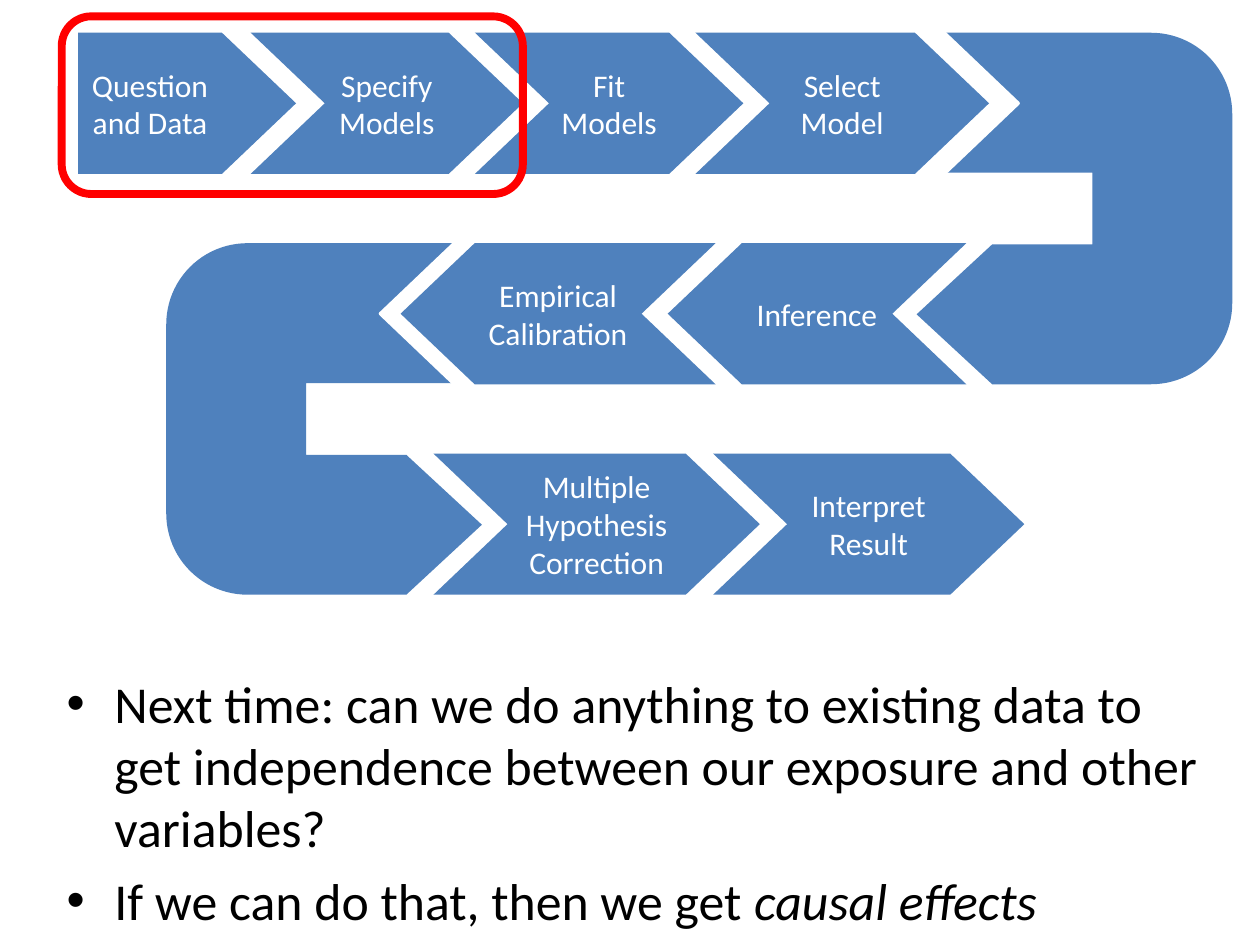
import dataclasses

import lxml.etree
import pptx
import pptx.dml.color
import pptx.enum.shapes
import pptx.enum.text
import pptx.oxml.ns
import pptx.util

SHAPE = pptx.enum.shapes.MSO_SHAPE
PAGE_WIDTH, PAGE_HEIGHT = 10, 7.5


@dataclasses.dataclass(frozen=True)
class Theme:
    """Colours and type sizes of the slide."""
    arrow: str = "4F81BD"
    paper: str = "FFFFFF"
    ink: str = "000000"
    highlight: str = "FF0000"
    font: str = "Calibri"
    step_size: float = 18
    body_size: float = 29.6


@dataclasses.dataclass(frozen=True)
class Box:
    """A rectangle in inches."""
    left: float
    top: float
    width: float
    height: float

    def column(self, left, width):
        """Return a full-height part, given as shares of the width."""
        return Box(self.left + left * self.width, self.top, width * self.width, self.height)

    def turned(self):
        """Return the box with its sides swapped about the same centre."""
        shift = (self.width - self.height) / 2
        return Box(self.left + shift, self.top - shift, self.height, self.width)

    def lengths(self):
        """Return the four lengths for python-pptx."""
        return [pptx.util.Inches(value) for value in dataclasses.astuple(self)]


THEME = Theme()


def colour(code):
    """Return a colour object for a hex code."""
    return pptx.dml.color.RGBColor.from_string(code)


def style_text(para, size, code):
    """Format every run of a paragraph."""
    for span in para.runs:
        span.font.name = THEME.font
        span.font.size = pptx.util.Pt(size)
        span.font.color.rgb = colour(code)


def add_shape(page, kind, box, adjustments=(), fill=None, line=None, line_width=2, mirrored=False):
    """Add a flat preset shape."""
    shape = page.shapes.add_shape(kind, *box.lengths())
    shape.shadow.inherit = False
    for index, value in enumerate(adjustments):
        shape.adjustments[index] = value
    if fill:
        shape.fill.solid()
        shape.fill.fore_color.rgb = colour(fill)
    else:
        shape.fill.background()
    if line:
        shape.line.color.rgb = colour(line)
        shape.line.width = pptx.util.Pt(line_width)
    else:
        shape.line.fill.background()
    if mirrored:
        shape._element.spPr.xfrm.set("flipH", "1")
    return shape


def add_turn(page, box, gap_left, gap_width, row_height, mirrored=False):
    """Add a U-turn with a white notch cut into its upper arm."""
    turn = add_shape(page, SHAPE.U_TURN_ARROW, box.turned(), (0.41, 0.199, 0.215, 0.231, 0.75),
                     THEME.arrow, mirrored=mirrored)
    turn.rotation = 270 if mirrored else 90
    gap = Box(gap_left, box.top, gap_width, row_height)
    add_shape(page, SHAPE.NOTCHED_RIGHT_ARROW, gap, (1, 0.525), THEME.paper, THEME.paper,
              mirrored=mirrored)


def add_step(page, box, label, kind=SHAPE.NOTCHED_RIGHT_ARROW, mirrored=False):
    """Add one labelled arrow of the process."""
    step = add_shape(page, kind, box, (1, 0.525), THEME.arrow, mirrored=mirrored)
    frame = step.text_frame
    frame.word_wrap = True
    frame.vertical_anchor = pptx.enum.text.MSO_ANCHOR.MIDDLE
    frame.text = label
    para = frame.paragraphs[0]
    para.alignment = pptx.enum.text.PP_ALIGN.CENTER
    style_text(para, THEME.step_size, THEME.paper)


def add_row(page, box, steps, mirrored=False):
    """Add arrows to a row, each placed by shares of its width."""
    for label, left, width in steps:
        add_step(page, box.column(left, width), label, mirrored=mirrored)


def add_bullets(page, box, items):
    """Add a bulleted list whose items are lists of (text, italic) spans."""
    frame = page.shapes.add_textbox(*box.lengths()).text_frame
    frame.word_wrap = True
    indent = pptx.util.Inches(0.38)
    for index, item in enumerate(items):
        para = frame.add_paragraph() if index else frame.paragraphs[0]
        properties = para._p.get_or_add_pPr()
        properties.set("marL", str(indent))
        properties.set("indent", str(-indent))
        bullet_font = lxml.etree.SubElement(properties, pptx.oxml.ns.qn("a:buFont"))
        bullet_font.set("typeface", "Arial")
        bullet = lxml.etree.SubElement(properties, pptx.oxml.ns.qn("a:buChar"))
        bullet.set("char", "•")
        if index:
            para.space_before = pptx.util.Pt(THEME.body_size * 0.2)
        for text, italic in item:
            span = para.add_run()
            span.text = text
            if italic:
                span.font.italic = True
        style_text(para, THEME.body_size, THEME.ink)


def add_process(page, box):
    """Add the winding three-row process, with its first steps highlighted."""
    row_height = 1.12
    pitch = 1.67
    first, second, third = (
        Box(box.left, box.top + pitch * index, box.width, row_height) for index in range(3))
    turn_width, turn_height = 3.34, pitch + row_height
    add_turn(page, Box(1.32, second.top, turn_width, turn_height), 3.02, 2.79, row_height, True)
    add_turn(page, Box(6.44, first.top, turn_width, turn_height), 5.29, 2.79, row_height)
    add_step(page, first.column(0.062, 0.173), "Question and Data", SHAPE.RIGHT_ARROW)
    add_row(page, first, [("Specify Models", 0.199, 0.216), ("Fit Models", 0.377, 0.213),
                          ("Select Model", 0.552, 0.233)])
    add_row(page, second, [("Inference", 0.53, 0.237), ("Empirical Calibration", 0.318, 0.25)], True)
    add_row(page, third, [("Multiple Hypothesis Correction", 0.344, 0.259),
                          ("Interpret Result", 0.566, 0.247)])


def main():
    """Build and save the slide."""
    deck = pptx.Presentation()
    deck.slide_width = pptx.util.Inches(PAGE_WIDTH)
    deck.slide_height = pptx.util.Inches(PAGE_HEIGHT)
    page = deck.slides.add_slide(deck.slide_layouts[6])
    add_process(page, Box(0, 0.26, PAGE_WIDTH, 4.5))
    add_bullets(page, Box(0.43, 5.28, 9.21, 1.95), [
        [("Next time: can we do anything to existing data to get independence "
          "between our exposure and other variables?", False)],
        [("If we can do that, then we get ", False), ("causal effects", True)],
    ])
    add_shape(page, SHAPE.ROUNDED_RECTANGLE, Box(0.49, 0.13, 3.66, 1.41),
              line=THEME.highlight, line_width=4.5)
    deck.save("out.pptx")


if __name__ == "__main__":
    main()
